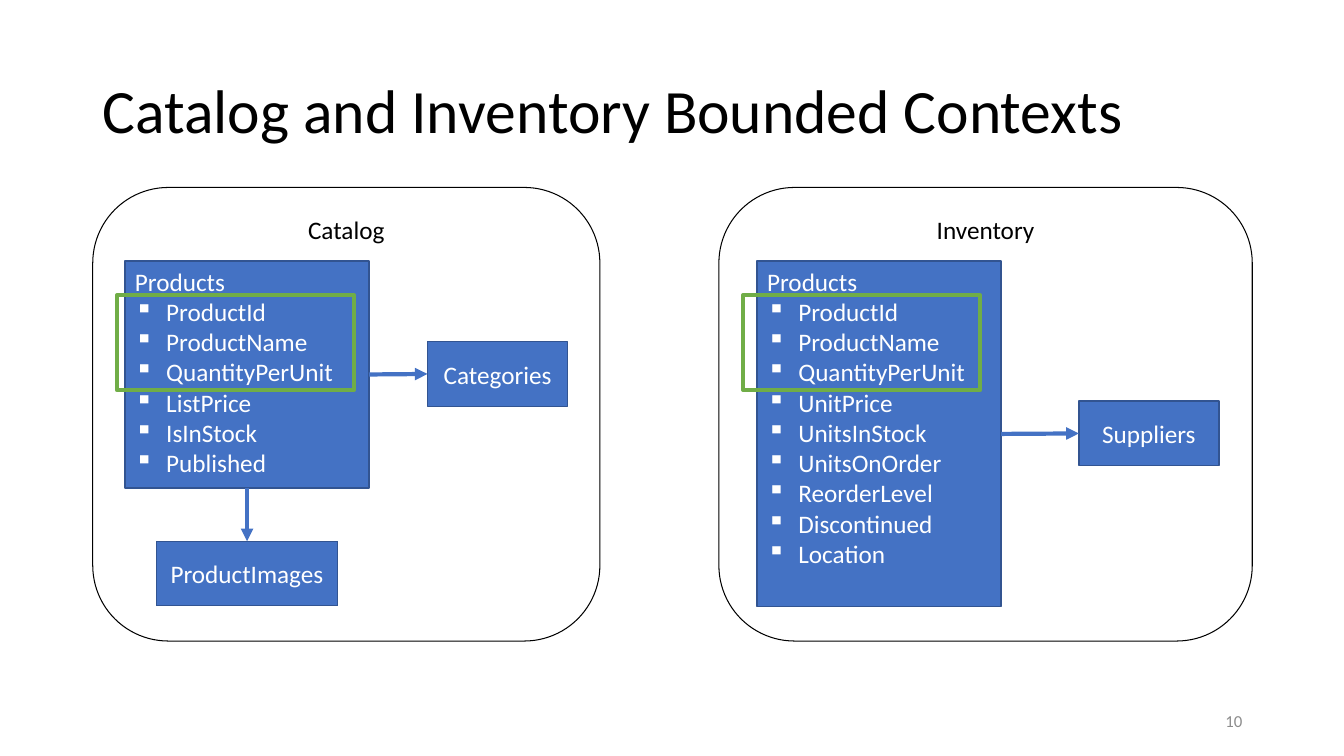
import dataclasses
import typing

import pptx
import pptx.dml.color
import pptx.enum.shapes
import pptx.enum.text
import pptx.oxml
import pptx.oxml.ns
import pptx.util

Inches = pptx.util.Inches
Pt = pptx.util.Pt
Kind = pptx.enum.shapes.MSO_SHAPE
Align = pptx.enum.text.PP_ALIGN
Anchor = pptx.enum.text.MSO_ANCHOR


@dataclasses.dataclass(frozen=True)
class Theme:
    font: str = "Calibri"
    black: str = "000000"
    white: str = "FFFFFF"
    grey: str = "8C8C8C"
    blue: str = "4472C4"
    blue_edge: str = "325491"
    green: str = "70AD47"
    title_size: float = 44
    body_size: float = 18
    number_size: float = 12
    thin: float = 0.75
    edge: float = 1
    thick: float = 3


class Area(typing.NamedTuple):
    left: float
    top: float
    width: float
    height: float


class Side(typing.NamedTuple):
    start: int
    end: int


@dataclasses.dataclass(frozen=True)
class Related:
    name: str
    area: Area
    side: Side


@dataclasses.dataclass(frozen=True)
class Context:
    name: str
    frame: Area
    products: Area
    fields: tuple[str, ...]
    shared: Area
    related: tuple[Related, ...]


THEME = Theme()
INDENT = 0.31
RIGHTWARD = Side(3, 1)
DOWNWARD = Side(2, 0)
SHARED_FIELDS = ("ProductId", "ProductName", "QuantityPerUnit")

CONTEXTS = (
    Context(
        "Catalog",
        Area(0.92, 1.86, 5.03, 4.5),
        Area(1.24, 2.59, 2.42, 2.25),
        SHARED_FIELDS + ("ListPrice", "IsInStock", "Published"),
        Area(1.16, 2.93, 2.35, 0.94),
        (
            Related("Categories", Area(4.24, 3.39, 1.39, 0.64), RIGHTWARD),
            Related("ProductImages", Area(1.55, 5.37, 1.8, 0.64), DOWNWARD),
        ),
    ),
    Context(
        "Inventory",
        Area(7.13, 1.86, 5.29, 4.5),
        Area(7.51, 2.59, 2.42, 3.43),
        SHARED_FIELDS
        + ("UnitPrice", "UnitsInStock", "UnitsOnOrder", "ReorderLevel", "Discontinued", "Location"),
        Area(7.37, 2.93, 2.35, 0.94),
        (Related("Suppliers", Area(10.7, 3.98, 1.39, 0.64), RIGHTWARD),),
    ),
)


def color(code: str) -> pptx.dml.color.RGBColor:
    return pptx.dml.color.RGBColor.from_string(code)


def write(box, text: str, size: float, ink: str, align=Align.LEFT, anchor=Anchor.TOP) -> None:
    frame = box.text_frame
    frame.text = text
    frame.word_wrap = True
    frame.vertical_anchor = anchor
    for para in frame.paragraphs:
        para.alignment = align
        for span in para.runs:
            span.font.name = THEME.font
            span.font.size = Pt(size)
            span.font.color.rgb = color(ink)


def add_text(page, area: Area, text: str, size: float, ink: str, align=Align.LEFT):
    box = page.shapes.add_textbox(*map(Inches, area))
    write(box, text, size, ink, align, Anchor.MIDDLE)
    return box


def add_box(page, kind, area: Area, line: str, weight: float, fill: str | None = None):
    box = page.shapes.add_shape(kind, *map(Inches, area))
    box.shadow.inherit = False
    box.line.color.rgb = color(line)
    box.line.width = Pt(weight)
    if fill:
        box.fill.solid()
        box.fill.fore_color.rgb = color(fill)
    else:
        box.fill.background()
    return box


def add_entity(page, area: Area):
    return add_box(page, Kind.FLOWCHART_PROCESS, area, THEME.blue_edge, THEME.edge, THEME.blue)


def add_bullet(para) -> None:
    properties = para._p.get_or_add_pPr()
    properties.set("marL", str(Inches(INDENT)))
    properties.set("indent", str(-Inches(INDENT)))
    bullet = pptx.oxml.parse_xml(f'<a:buChar {pptx.oxml.ns.nsdecls("a")} char="▪"/>')
    properties.append(bullet)


def add_arrow(page, source, target, side: Side) -> None:
    arrow = page.shapes.add_connector(pptx.enum.shapes.MSO_CONNECTOR.STRAIGHT, 0, 0, 0, 0)
    arrow.begin_connect(source, side.start)
    arrow.end_connect(target, side.end)
    arrow.line.color.rgb = color(THEME.blue)
    arrow.line.width = Pt(THEME.thick)
    namespace = pptx.oxml.ns.nsdecls("a")
    arrow.line._get_or_add_ln().append(pptx.oxml.parse_xml(f'<a:tailEnd {namespace} type="triangle"/>'))
    arrow._element.spPr.append(pptx.oxml.parse_xml(f"<a:effectLst {namespace}/>"))


def add_context(page, context: Context) -> None:
    frame = add_box(page, Kind.FLOWCHART_ALTERNATE_PROCESS, context.frame, THEME.black, THEME.thin)
    write(frame, context.name, THEME.body_size, THEME.black, Align.CENTER)
    products = add_entity(page, context.products)
    write(products, "\n".join(("Products",) + context.fields), THEME.body_size, THEME.white)
    for para in products.text_frame.paragraphs[1:]:
        add_bullet(para)
    for related in context.related:
        entity = add_entity(page, related.area)
        write(entity, related.name, THEME.body_size, THEME.white, Align.CENTER, Anchor.MIDDLE)
        add_arrow(page, products, entity, related.side)
    add_box(page, Kind.RECTANGLE, context.shared, THEME.green, THEME.thick)


deck = pptx.Presentation()
deck.slide_width = Inches(13.33)
deck.slide_height = Inches(7.5)
page = deck.slides.add_slide(deck.slide_layouts[6])

title = add_text(
    page, Area(0.92, 0.4, 11.5, 1.45), "Catalog and Inventory Bounded Contexts", THEME.title_size, THEME.black
)
title.text_frame.paragraphs[0].line_spacing = 0.9
for context in CONTEXTS:
    add_context(page, context)
add_text(page, Area(9.42, 6.95, 3, 0.4), "10", THEME.number_size, THEME.grey, Align.RIGHT)

deck.save("out.pptx")
